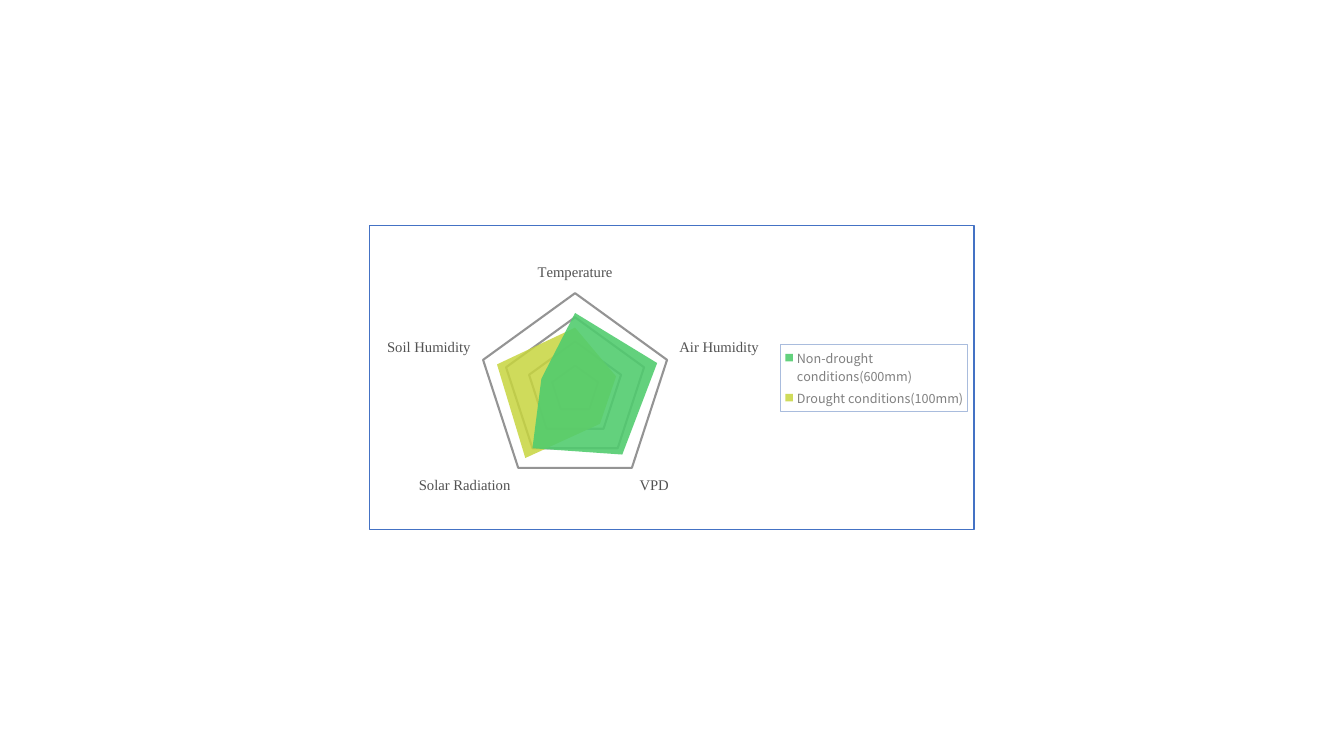
from pptx import Presentation
from pptx import util as u
from pptx.chart.data import CategoryChartData
from pptx.dml.color import RGBColor
from pptx.enum import chart as ce
from pptx.oxml import parse_xml
from pptx.oxml.ns import nsdecls, qn

COLORS = {
    "text": "000000",
    "category": "525252",
    "legend": "808080",
    "legend_border": "A9BCDD",
    "axis": "D9D9D9",
    "grid": "808080",
    "border": "4472C4",
    "non_drought": "50CC6E",
    "drought": "C7D53F",
}
SANS = "Noto Sans CJK SC"
SERIF = "Times New Roman"
CATEGORIES = ["Temperature", "Air Humidity", "VPD", "Solar Radiation", "Soil Humidity"]
# name, values, colour, opacity in percent
CONDITIONS = [
    ("Non-drought conditions(600mm)", (89, 100, 93, 84, 41), "non_drought", 89),
    ("Drought conditions(100mm)", (72, 50, 49, 98, 95), "drought", 85),
]


def rgb(name):
    """Return the named colour."""
    return RGBColor.from_string(COLORS[name])


def set_font(font, size, color, family):
    """Format a font."""
    font.size = u.Pt(size)
    font.name = family
    font.color.rgb = rgb(color)


def set_line(line, color, width):
    """Format a solid line."""
    line.color.rgb = rgb(color)
    line.width = u.Pt(width)


def set_opacity(element, percent):
    """Make the colours inside an XML element partly transparent."""
    for color in element.iter(qn("a:srgbClr")):
        color.append(parse_xml(f'<a:alpha {nsdecls("a")} val="{percent * 1000}"/>'))


def frame_xml(color):
    """Return shape properties for an unfilled box with a thin border."""
    return parse_xml(
        f'<c:spPr {nsdecls("c", "a")}><a:noFill/><a:ln w="{u.Pt(0.75)}"><a:solidFill>'
        f'<a:srgbClr val="{COLORS[color]}"/></a:solidFill></a:ln></c:spPr>')


def layout_xml(left, top, width, height, inner=False):
    """Return a manual layout in fractions of the chart."""
    target = '<c:layoutTarget val="inner"/>' if inner else ""
    places = "".join(f'<c:{tag} val="{value}"/>' for tag, value in (
        ("xMode", "edge"), ("yMode", "edge"),
        ("x", left), ("y", top), ("w", width), ("h", height)))
    return parse_xml(f'<c:layout {nsdecls("c")}><c:manualLayout>{target}{places}'
                     '</c:manualLayout></c:layout>')


def remove_layout(parent):
    """Remove the automatic layout of a chart part."""
    for layout in parent.findall(qn("c:layout")):
        parent.remove(layout)


def format_axes(chart):
    """Style the category labels and the pentagon grid."""
    categories, values = chart.category_axis, chart.value_axis
    categories.major_tick_mark = ce.XL_TICK_MARK.NONE
    set_font(categories.tick_labels.font, 10.5, "category", SERIF)
    set_line(categories.format.line, "axis", 0.75)
    categories.has_major_gridlines = True
    set_line(categories.major_gridlines.format.line, "axis", 0.75)
    values.visible = False
    values.minimum_scale, values.maximum_scale, values.major_unit = 0, 112, 28
    values.has_major_gridlines = True
    set_line(values.major_gridlines.format.line, "grid", 1.5)
    value_axis = next(chart.element.iter(qn("c:valAx")))
    set_opacity(value_axis.find(qn("c:majorGridlines")), 84)


def format_series(chart):
    """Fill each condition with its translucent colour."""
    plot = chart.plots[0]
    plot.vary_by_categories = False
    elements = chart.element.iter(qn("c:ser"))
    for series, element, (_, _, color, opacity) in zip(plot.series, elements, CONDITIONS):
        series.format.fill.solid()
        series.format.fill.fore_color.rgb = rgb(color)
        series.format.line.fill.background()
        set_opacity(element, opacity)


def format_legend(chart):
    """Place the bordered legend at the right."""
    chart.has_legend = True
    legend = chart.legend
    legend.position = ce.XL_LEGEND_POSITION.RIGHT
    legend.include_in_layout = False
    set_font(legend.font, 9, "legend", SANS)
    element = next(chart.element.iter(qn("c:legend")))
    remove_layout(element)
    overlay = element.find(qn("c:overlay"))
    overlay.addprevious(layout_xml(0.68, 0.39, 0.31, 0.22))
    overlay.addnext(frame_xml("legend_border"))


def add_radar(slide):
    """Add the radar chart that compares the two conditions."""
    data = CategoryChartData()
    data.categories = CATEGORIES
    for name, values, _, _ in CONDITIONS:
        data.add_series(name, values)
    chart = slide.shapes.add_chart(
        ce.XL_CHART_TYPE.RADAR_FILLED,
        u.Cm(9.3), u.Cm(5.67), u.Cm(15.26), u.Cm(7.69), data).chart
    chart.has_title = False
    set_font(chart.font, 10, "text", SANS)
    format_axes(chart)
    format_series(chart)
    format_legend(chart)
    plot_area = next(chart.element.iter(qn("c:plotArea")))
    remove_layout(plot_area)
    plot_area.insert(0, layout_xml(0.18, 0.22, 0.32, 0.64, inner=True))
    chart.element.find(qn("c:chart")).addnext(frame_xml("border"))


def main():
    """Build and save the slide."""
    presentation = Presentation()
    presentation.slide_width = u.Cm(33.87)
    presentation.slide_height = u.Cm(19.05)
    slide = presentation.slides.add_slide(presentation.slide_layouts[6])
    add_radar(slide)
    presentation.save("out.pptx")


main()
